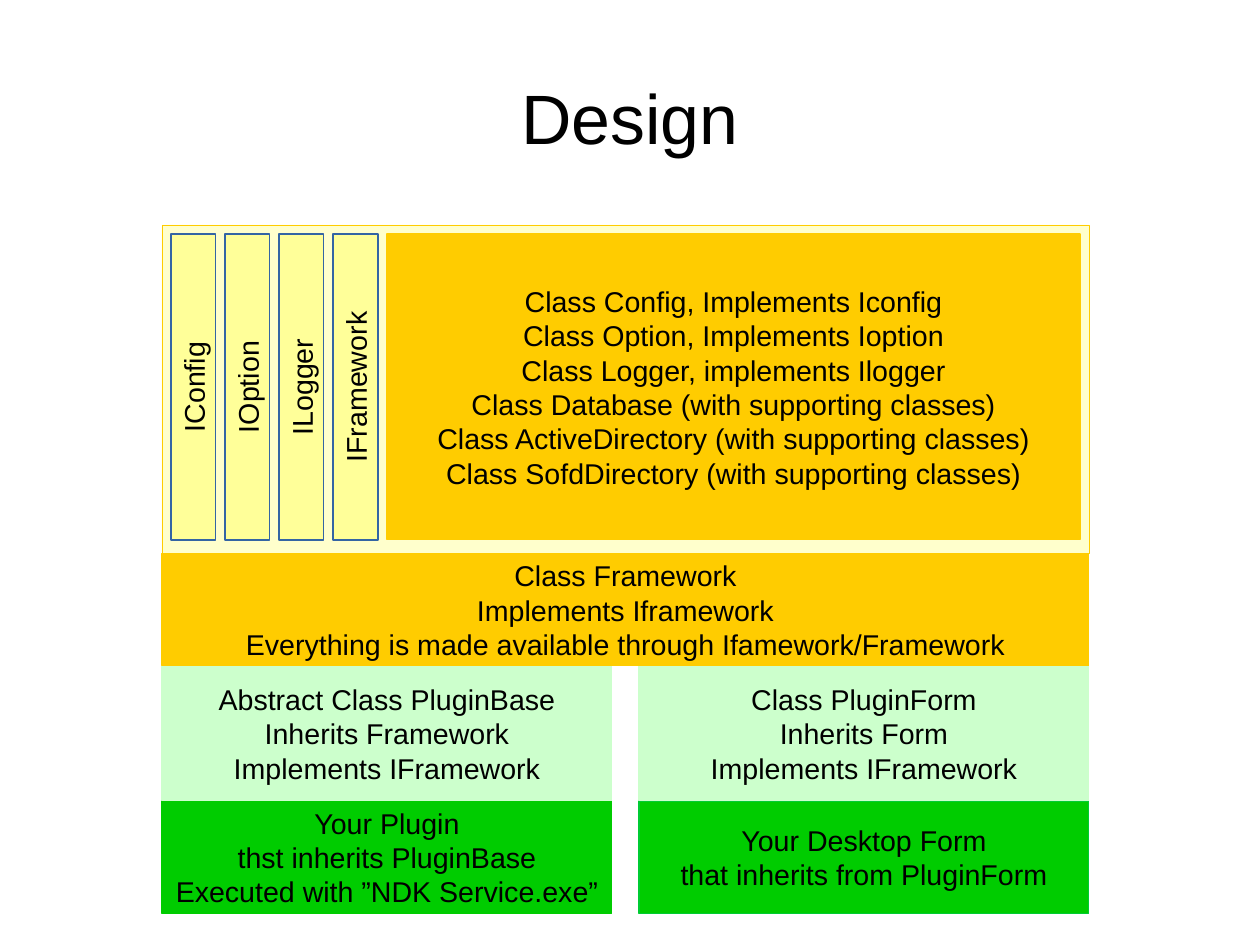
from dataclasses import dataclass

from pptx import Presentation
from pptx.dml.color import RGBColor
from pptx.enum.shapes import MSO_SHAPE
from pptx.enum.text import MSO_ANCHOR, PP_ALIGN
from pptx.util import Pt

RECTANGLE = MSO_SHAPE.RECTANGLE
MIDDLE = MSO_ANCHOR.MIDDLE
CENTER = PP_ALIGN.CENTER

BLACK, WHITE = "000000", "FFFFFF"
CREAM, YELLOW, GOLD = "FFFFCC", "FFFF99", "FFCC00"
MINT, GREEN, BLUE = "CCFFCC", "00CC00", "3465A4"

LEFT, WIDTH = 102.05, 583.94
COLUMN_WIDTH = 283.46
RIGHT_COLUMN = LEFT + WIDTH - COLUMN_WIDTH
LIBRARY_TOP, LIBRARY_HEIGHT = 141.73, 206.93
FRAMEWORK_TOP = LIBRARY_TOP + LIBRARY_HEIGHT
FRAMEWORK_HEIGHT = 70.87
BASE_TOP, BASE_HEIGHT = FRAMEWORK_TOP + FRAMEWORK_HEIGHT, 85.04
PLUGIN_TOP = BASE_TOP + BASE_HEIGHT

PADDING = 5.67
INNER_TOP, INNER_HEIGHT = LIBRARY_TOP + PADDING, 192.76
BAR_THICKNESS, BAR_STEP = 28.35, 34.02
INTERFACES = ["IConfig", "IOption", "ILogger", "IFramework"]
CLASSES_LEFT = LEFT + PADDING + len(INTERFACES) * BAR_STEP


@dataclass
class Block:
    left: float
    top: float
    width: float
    height: float
    fill: str
    line: str
    lines: tuple[str, ...] = ()
    line_width: float = 0
    rotation: float = 0


def color(value: str) -> RGBColor:
    return RGBColor.from_string(value)


def write_lines(frame, lines: tuple[str, ...], size: float) -> None:
    frame.vertical_anchor = MIDDLE
    font_format = {"name": "Arial", "size": Pt(size)}
    for index, line in enumerate(lines):
        para = frame.add_paragraph() if index else frame.paragraphs[0]
        para.alignment = CENTER
        span = para.add_run()
        span.text = line
        for name, value in font_format.items():
            setattr(span.font, name, value)
        span.font.color.rgb = color(BLACK)


def add_title(page, text: str) -> None:
    box = page.shapes.add_textbox(Pt(39.6), Pt(23.76), Pt(714.24), Pt(99.36))
    frame = box.text_frame
    frame.word_wrap = True
    for side in ("left", "top", "right", "bottom"):
        setattr(frame, f"margin_{side}", 0)
    write_lines(frame, (text,), 44)


def add_block(page, block: Block) -> None:
    box = page.shapes.add_shape(
        RECTANGLE, Pt(block.left), Pt(block.top), Pt(block.width), Pt(block.height)
    )
    box.shadow.inherit = False
    box.rotation = block.rotation
    box.fill.solid()
    box.fill.fore_color.rgb = color(block.fill)
    box.line.color.rgb = color(block.line)
    box.line.width = Pt(block.line_width)
    if block.lines:
        box.text_frame.word_wrap = False
        write_lines(box.text_frame, block.lines, 18)


def interface_bar(index: int, name: str) -> Block:
    """Lay out a horizontal bar that stands upright once turned about its centre."""
    center_x = LEFT + PADDING + BAR_THICKNESS / 2 + index * BAR_STEP
    center_y = INNER_TOP + INNER_HEIGHT / 2
    return Block(
        center_x - INNER_HEIGHT / 2, center_y - BAR_THICKNESS / 2,
        INNER_HEIGHT, BAR_THICKNESS, YELLOW, BLUE, (name,), rotation=270,
    )


def design_blocks() -> list[Block]:
    return [
        Block(LEFT, LIBRARY_TOP, WIDTH, LIBRARY_HEIGHT, CREAM, GOLD, line_width=0.5),
        Block(LEFT, PLUGIN_TOP, COLUMN_WIDTH, FRAMEWORK_HEIGHT, GREEN, GREEN, (
            "Your Plugin",
            "thst inherits PluginBase",
            "Executed with ”NDK Service.exe”",
        )),
        Block(RIGHT_COLUMN, PLUGIN_TOP, COLUMN_WIDTH, FRAMEWORK_HEIGHT, GREEN, "00CC33", (
            "Your Desktop Form",
            "that inherits from PluginForm",
        )),
        Block(LEFT, BASE_TOP, COLUMN_WIDTH, BASE_HEIGHT, MINT, MINT, (
            "Abstract Class PluginBase",
            "Inherits Framework",
            "Implements IFramework",
        )),
        Block(RIGHT_COLUMN, BASE_TOP, COLUMN_WIDTH, BASE_HEIGHT, MINT, MINT, (
            "Class PluginForm",
            "Inherits Form",
            "Implements IFramework",
        )),
        *(interface_bar(index, name) for index, name in enumerate(INTERFACES)),
        Block(LEFT, FRAMEWORK_TOP, WIDTH, FRAMEWORK_HEIGHT, GOLD, GOLD, (
            "Class Framework",
            "Implements Iframework",
            "Everything is made available through Ifamework/Framework",
        )),
        Block(CLASSES_LEFT, INNER_TOP, 436.54, INNER_HEIGHT, GOLD, GOLD, (
            "Class Config, Implements Iconfig",
            "Class Option, Implements Ioption",
            "Class Logger, implements Ilogger",
            "Class Database (with supporting classes)",
            "Class ActiveDirectory (with supporting classes)",
            "Class SofdDirectory (with supporting classes)",
        )),
    ]


def main() -> None:
    deck = Presentation()
    deck.slide_width, deck.slide_height = Pt(793.7), Pt(595.28)
    page = deck.slides.add_slide(deck.slide_layouts[6])
    page.background.fill.solid()
    page.background.fill.fore_color.rgb = color(WHITE)
    add_title(page, "Design")
    for block in design_blocks():
        add_block(page, block)
    deck.save("out.pptx")


if __name__ == "__main__":
    main()
